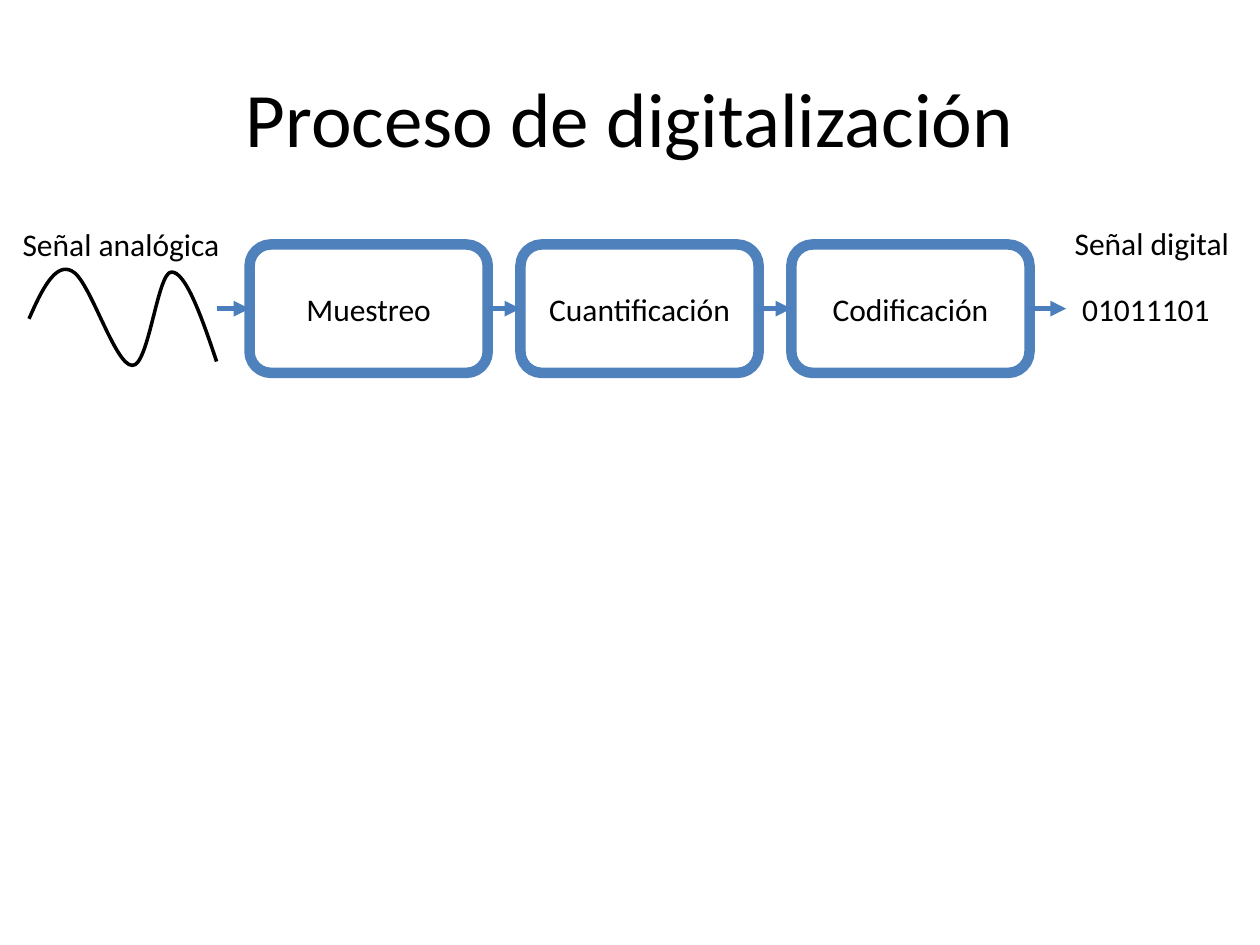
from lxml.etree import SubElement
from pptx import Presentation
from pptx.dml.color import RGBColor
from pptx.enum.shapes import MSO_CONNECTOR, MSO_SHAPE
from pptx.enum.text import MSO_ANCHOR, MSO_AUTO_SIZE, PP_ALIGN
from pptx.oxml.ns import qn
from pptx.util import Pt

BLACK = RGBColor(0x00, 0x00, 0x00)
WHITE = RGBColor(0xFF, 0xFF, 0xFF)
BLUE = RGBColor(0x4F, 0x81, 0xBD)
ARROW_BLUE = RGBColor(0x4B, 0x7E, 0xBC)

TITLE = ("Proceso de digitalización", (36, 21.6, 648, 90))
STAGES = ["Muestreo", "Cuantificación", "Codificación"]
SIGNAL_LABELS = [
    ("Señal analógica", (5.8, 125.3, 128.2, 28.8)),
    ("01011101", (611.3, 162, 88.6, 28.8)),
    ("Señal digital", (607, 124.6, 103.7, 28.8)),
]
WAVE_START = (16.6, 182.2)
# Each bend: two control points, then the point reached.
WAVE_BENDS = [
    ((23.8, 165.6), (31.7, 149.8), (41, 154.8)),
    ((51.1, 159.1), (65.5, 208.8), (75.6, 208.8)),
    ((85, 209.5), (90, 155.5), (97.9, 155.5)),
    ((105.8, 154.8), (115.2, 180.7), (123.8, 206.6)),
]

STAGE_LEFT, STAGE_TOP = 142.6, 139.7
STAGE_WIDTH, STAGE_HEIGHT = 136.1, 73.4
STAGE_GAP = 18.7
OUTPUT_ARROW_LENGTH = 20.9

WRAPPED = {"word_wrap": True, "vertical_anchor": MSO_ANCHOR.MIDDLE}
FITTED = {"word_wrap": False, "auto_size": MSO_AUTO_SIZE.SHAPE_TO_FIT_TEXT}


def apply_format(target, values):
    """Set every attribute named in values on target."""
    for name, value in values.items():
        setattr(target, name, value)


def write(shape, wording, size, align, frame_format):
    """Put one formatted paragraph in a shape."""
    apply_format(shape.text_frame, frame_format)
    paragraph = shape.text_frame.paragraphs[0]
    paragraph.alignment = align
    run = paragraph.add_run()
    run.text = wording
    apply_format(run.font, {"name": "Calibri", "size": Pt(size)})
    run.font.color.rgb = BLACK


def stroke(line, color, width):
    """Give a line its colour and width."""
    line.color.rgb = color
    line.width = Pt(width)


def add_label(slide, wording, box, size, align, frame_format):
    """Add a text box."""
    label = slide.shapes.add_textbox(*map(Pt, box))
    write(label, wording, size, align, frame_format)


def add_wave(slide):
    """Draw the analogue signal as smooth Bézier bends."""
    builder = slide.shapes.build_freeform(*map(Pt, WAVE_START), scale=1.0)
    builder.add_line_segments([tuple(map(Pt, bend[-1])) for bend in WAVE_BENDS], close=False)
    wave = builder.convert_to_shape()
    wave.shadow.inherit = False
    wave.fill.background()
    stroke(wave.line, BLACK, 2)
    segments = list(wave.element.iter(qn("a:lnTo")))
    for segment, bend in zip(segments, WAVE_BENDS):
        segment.tag = qn("a:cubicBezTo")
        for point in list(segment):
            segment.remove(point)
        for x, y in bend:
            SubElement(segment, qn("a:pt"), x=str(Pt(x) - wave.left), y=str(Pt(y) - wave.top))


def add_stage(slide, wording, left):
    """Add one rounded process step."""
    stage = slide.shapes.add_shape(
        MSO_SHAPE.ROUNDED_RECTANGLE,
        *map(Pt, (left, STAGE_TOP, STAGE_WIDTH, STAGE_HEIGHT)))
    stage.shadow.inherit = False
    stage.fill.solid()
    stage.fill.fore_color.rgb = WHITE
    stroke(stage.line, BLUE, 6)
    write(stage, wording, 18, PP_ALIGN.CENTER, WRAPPED)


def add_arrow(slide, start, end):
    """Add a horizontal arrow at mid-height of the steps."""
    middle = Pt(STAGE_TOP + STAGE_HEIGHT / 2)
    arrow = slide.shapes.add_connector(
        MSO_CONNECTOR.STRAIGHT, Pt(start), middle, Pt(end), middle)
    stroke(arrow.line, ARROW_BLUE, 3)
    properties = arrow.element.spPr
    SubElement(properties.find(qn("a:ln")), qn("a:tailEnd"), type="triangle")
    SubElement(properties, qn("a:effectLst"))


def build():
    """Build and save the slide."""
    deck = Presentation()
    apply_format(deck, {"slide_width": Pt(720), "slide_height": Pt(540)})
    slide = deck.slides.add_slide(deck.slide_layouts[6])
    add_label(slide, *TITLE, 44, PP_ALIGN.CENTER, WRAPPED)
    add_wave(slide)

    pitch = STAGE_WIDTH + STAGE_GAP
    stage_lefts = [STAGE_LEFT + index * pitch for index in range(len(STAGES))]
    for wording, left in zip(STAGES, stage_lefts):
        add_stage(slide, wording, left)
    for left in stage_lefts:
        add_arrow(slide, left - STAGE_GAP, left)
    output_start = stage_lefts[-1] + STAGE_WIDTH
    add_arrow(slide, output_start, output_start + OUTPUT_ARROW_LENGTH)

    for wording, box in SIGNAL_LABELS:
        add_label(slide, wording, box, 18, PP_ALIGN.LEFT, FITTED)
    deck.save("out.pptx")


build()
